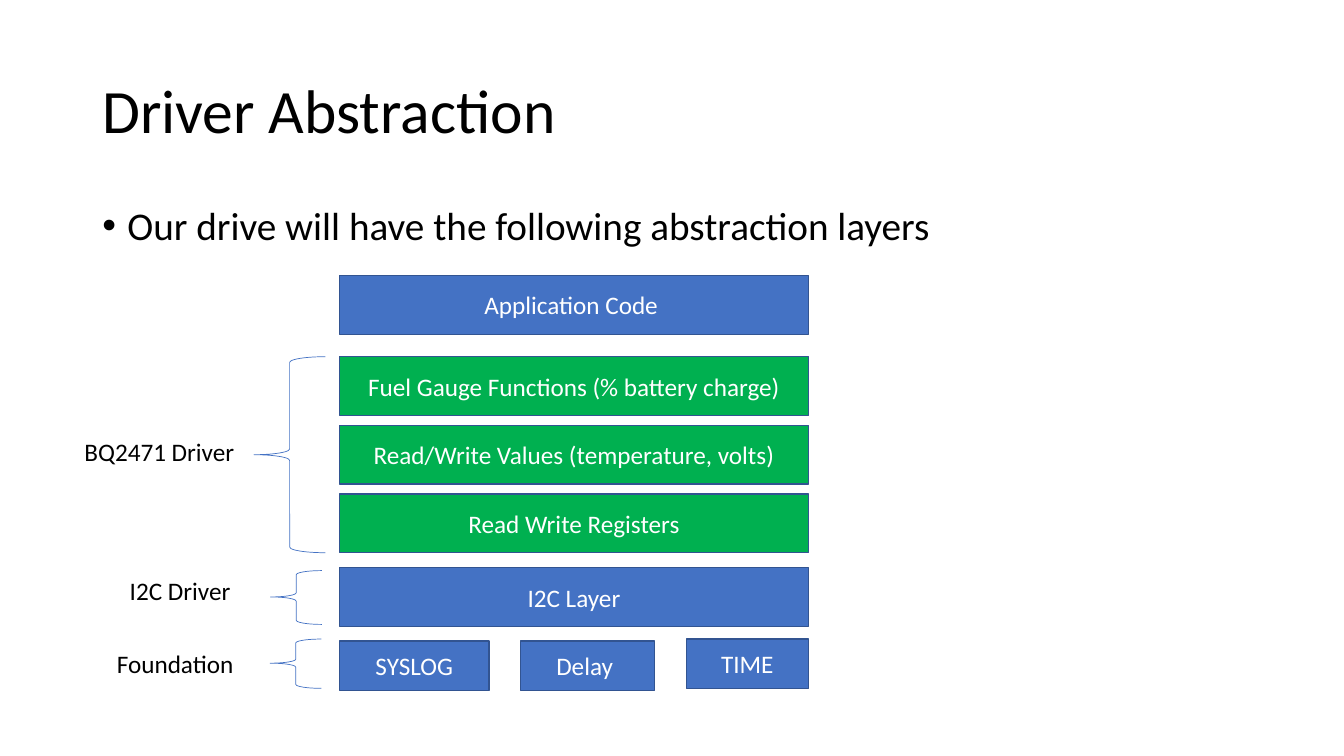
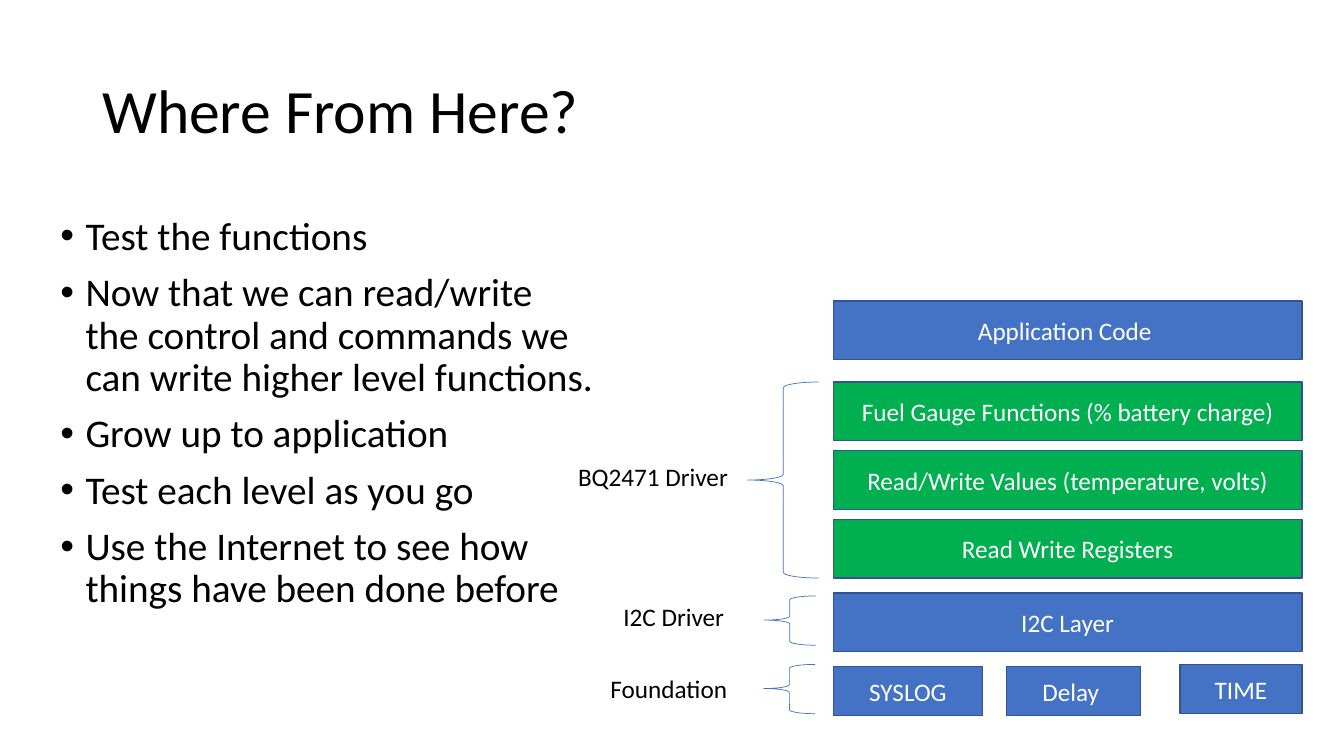
from lxml import etree
from pptx import Presentation
from pptx.dml.color import RGBColor
from pptx.enum.shapes import MSO_SHAPE
from pptx.enum.text import MSO_ANCHOR, MSO_AUTO_SIZE, PP_ALIGN
from pptx.oxml.ns import qn
from pptx.util import Pt

RECT, BRACE = MSO_SHAPE.RECTANGLE, MSO_SHAPE.LEFT_BRACE
TOP, MIDDLE = MSO_ANCHOR.TOP, MSO_ANCHOR.MIDDLE
LEFT, CENTER = PP_ALIGN.LEFT, PP_ALIGN.CENTER
FIT = MSO_AUTO_SIZE.SHAPE_TO_FIT_TEXT

COLORS = {"text": "000000", "white": "FFFFFF", "blue": "4472C4",
          "green": "00B050", "edge": "325491"}
FONT = "Calibri"
TITLE_SIZE, BODY_SIZE, LABEL_SIZE = 44, 28, 18

STACK_W, LAYER_H, BASE_H = 334.8, 42, 35.2
LAYERS = [
    ("Application Code ", "blue", 0),
    ("Fuel Gauge Functions (% battery charge)", "green", 58),
    ("Read/Write Values (temperature, volts)", "green", 107),
    ("Read Write Registers", "green", 156),
    ("I2C Layer", "blue", 208.7),
]
BASE = [("SYSLOG", 106.6, 261.2), ("Delay ", 95.8, 261.2), ("TIME", 87.2, 259.7)]
LABEL_RIGHT = -61.2
LABELS = [("BQ2471 Driver", 128.2, 111.4), ("I2C Driver", 95.8, 210.8),
          ("Foundation", 105, 262.6)]


class Deck:
    def __init__(self):
        self.prs = Presentation()
        self.prs.slide_width, self.prs.slide_height = Pt(960), Pt(540)
        self.s = None

    def color(self, name):
        return RGBColor.from_string(COLORS[name])

    def slide(self, title):
        self.s = self.prs.slides.add_slide(self.prs.slide_layouts[6])
        tf = self.textbox(66, 28.75, 828, 104.4, MIDDLE)
        p = self.text(tf.paragraphs[0], title, TITLE_SIZE)
        p.line_spacing = 0.9

    def text(self, p, text, size, color="text", align=LEFT):
        p.alignment = align
        r = p.add_run()
        r.text = text
        r.font.name, r.font.size = FONT, Pt(size)
        r.font.color.rgb = self.color(color)
        return p

    def textbox(self, x, y, w, h, anchor=TOP):
        tf = self.s.shapes.add_textbox(Pt(x), Pt(y), Pt(w), Pt(h)).text_frame
        tf.word_wrap, tf.vertical_anchor = True, anchor
        return tf

    def bullets(self, x, y, w, h, items):
        tf = self.textbox(x, y, w, h)
        for i, item in enumerate(items):
            p = tf.add_paragraph() if i else tf.paragraphs[0]
            self.text(p, item, BODY_SIZE)
            p.line_spacing, p.space_before = 0.9, Pt(10)
            pPr = p._p.get_or_add_pPr()
            pPr.set("marL", str(Pt(18)))
            pPr.set("indent", str(-Pt(18)))
            etree.SubElement(pPr, qn("a:buFont")).set("typeface", "Arial")
            etree.SubElement(pPr, qn("a:buChar")).set("char", "•")

    def label(self, x, y, w, text):
        tf = self.textbox(x, y, w, 29)
        tf.auto_size = FIT
        self.text(tf.paragraphs[0], text, LABEL_SIZE)

    def shape(self, kind, x, y, w, h, line, width):
        sp = self.s.shapes.add_shape(kind, Pt(x), Pt(y), Pt(w), Pt(h))
        sp.shadow.inherit = False
        sp.line.color.rgb, sp.line.width = self.color(line), Pt(width)
        return sp

    def box(self, x, y, w, h, text, fill):
        sp = self.shape(RECT, x, y, w, h, "edge", 1)
        sp.fill.solid()
        sp.fill.fore_color.rgb = self.color(fill)
        tf = sp.text_frame
        tf.word_wrap, tf.vertical_anchor = True, MIDDLE
        self.text(tf.paragraphs[0], text, LABEL_SIZE, "white", CENTER)

    def brace(self, x, y, w, h, point=0.5):
        sp = self.shape(BRACE, x, y, w, h, "blue", 0.5)
        sp.fill.background()
        sp.adjustments[0], sp.adjustments[1] = 0.08, point

    def stack(self, x, y, i2c_brace_h, delay_shift=0):
        for text, fill, dy in LAYERS:
            self.box(x, y + dy, STACK_W, LAYER_H, text, fill)
        gap = (STACK_W - sum(w for _, w, _ in BASE)) / (len(BASE) - 1)
        left = x
        for (text, w, dy), shift in zip(BASE, (0, delay_shift, 0)):
            self.box(left + shift, y + dy, w, BASE_H, text, "blue")
            left += w + gap
        self.brace(x + LABEL_RIGHT, y + 58, 51, 140)
        self.brace(x - 49.4, y + 210.8, 36.7, i2c_brace_h, 0.49)
        self.brace(x - 49.7, y + 259.7, 36.7, BASE_H, 0.49)
        for text, w, dy in LABELS:
            self.label(x + LABEL_RIGHT - w, y + dy, w, text)


def main():
    deck = Deck()
    deck.slide("Driver Abstraction")
    deck.bullets(66, 143.75, 828, 342.6,
                 ["Our drive will have the following abstraction layers"])
    deck.stack(242.6, 196.8, 38.4)

    deck.slide("Where From Here?")
    deck.bullets(36, 151.2, 394.6, 342.6, [
        "Test the functions",
        "Now that we can read/write the control and commands we can write "
        "higher level functions.",
        "Grow up to application",
        "Test each level as you go",
        "Use the Internet to see how things have been done before",
    ])
    deck.stack(595.2, 214.9, BASE_H, -5.4)
    deck.prs.save("out.pptx")


if __name__ == "__main__":
    main()
